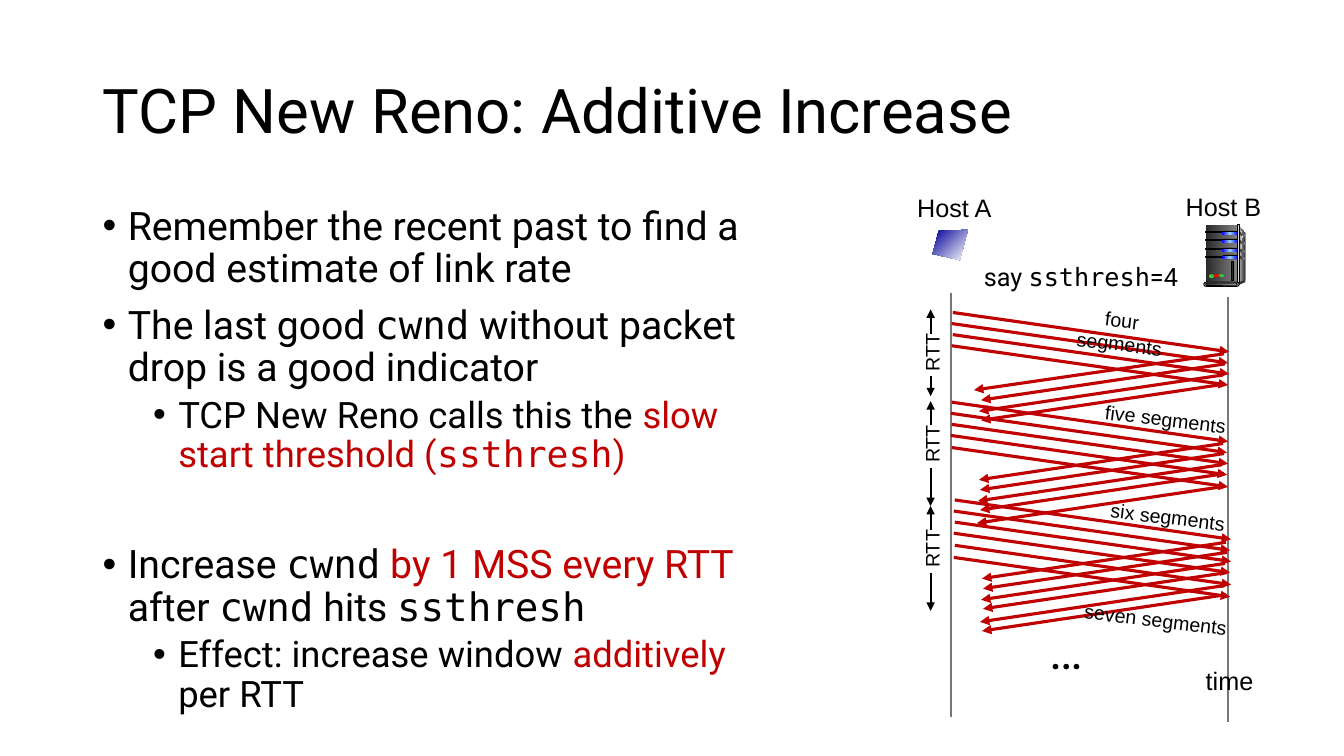
from copy import deepcopy

from pptx import Presentation
from pptx.dml.color import RGBColor
from pptx.enum.shapes import MSO_CONNECTOR, MSO_SHAPE
from pptx.enum.text import MSO_ANCHOR, PP_ALIGN
from pptx.oxml.ns import qn
from pptx.util import Inches, Pt

BLACK, RED, GREY = "000000", "C00000", "777777"
SANS, MONO, LABEL = "Roboto", "DejaVu Sans Mono", "Arial"
LEFT, CENTER, RIGHT = PP_ALIGN.LEFT, PP_ALIGN.CENTER, PP_ALIGN.RIGHT
MIDDLE = MSO_ANCHOR.MIDDLE
STRAIGHT = MSO_CONNECTOR.STRAIGHT
RECT, PILL, OVAL = MSO_SHAPE.RECTANGLE, MSO_SHAPE.ROUNDED_RECTANGLE, MSO_SHAPE.OVAL


def paint(fill, *colours, angle=0):
    """Fill with one colour, or with a gradient of two or three evenly spaced colours."""
    if len(colours) == 1:
        fill.solid()
        fill.fore_color.rgb = RGBColor.from_string(colours[0])
        return
    fill.gradient()
    fill.gradient_angle = (360 - angle) % 360
    if len(colours) == 3:
        stop_list = fill._xPr.find(".//" + qn("a:gsLst"))
        stop_list.insert(1, deepcopy(stop_list[0]))
    for i, (stop, colour) in enumerate(zip(fill.gradient_stops, colours)):
        stop.position = i / (len(colours) - 1)
        stop.color.rgb = RGBColor.from_string(colour)


def draw_line(x1, y1, x2, y2, colour, width, arrow=None):
    """Draw a straight line; arrow is headEnd (at the start) or tailEnd."""
    connector = slide.shapes.add_connector(
        STRAIGHT, Inches(x1), Inches(y1), Inches(x2), Inches(y2))
    paint(connector.line.fill, colour)
    connector.line.width = Pt(width)
    properties = connector._element.spPr
    if arrow:
        line_xml = properties.find(qn("a:ln"))
        line_xml.append(line_xml.makeelement(qn("a:" + arrow), {"type": "triangle"}))
    properties.append(properties.makeelement(qn("a:effectLst"), {}))


prs = Presentation()
prs.slide_width, prs.slide_height = Inches(13.33), Inches(7.5)
slide = prs.slides.add_slide(prs.slide_layouts[5])

# Title
title = slide.shapes.title
title.left, title.top, title.width, title.height = map(Inches, (0.92, 0.4, 11.5, 1.45))
title.text_frame.text = "TCP New Reno: Additive Increase"
title.text_frame.vertical_anchor = MIDDLE
heading = title.text_frame.paragraphs[0]
heading.alignment, heading.line_spacing = LEFT, 0.9
heading.font.size, heading.font.name = Pt(44), SANS
paint(heading.font.fill, BLACK)

# Bullets: level, space before, runs of (text, font, colour)
bullets = [
    (0, 0, [("Remember the recent past to find a good estimate of link rate", SANS, BLACK)]),
    (0, 10, [("The last good ", SANS, BLACK), ("cwnd", MONO, BLACK),
             (" without packet drop is a good indicator", SANS, BLACK)]),
    (1, 5, [("TCP New Reno calls this the ", SANS, BLACK),
            ("slow start threshold (", SANS, RED), ("ssthresh", MONO, RED), (")", SANS, RED)]),
    (0, 49.5, [("Increase ", SANS, BLACK), ("cwnd", MONO, BLACK),
               (" by 1 MSS every RTT ", SANS, RED), ("after ", SANS, BLACK),
               ("cwnd", MONO, BLACK), (" hits ", SANS, BLACK), ("ssthresh", MONO, BLACK)]),
    (1, 5, [("Effect: increase window ", SANS, BLACK), ("additively", SANS, RED),
            (" per RTT", SANS, BLACK)]),
]
body = slide.shapes.add_textbox(Inches(0.92), Inches(2), Inches(6.74), Inches(5.25)).text_frame
body.word_wrap = True
for i, (level, space, runs) in enumerate(bullets):
    paragraph = body.add_paragraph() if i else body.paragraphs[0]
    paragraph.level, paragraph.line_spacing, paragraph.space_before = level, 0.9, Pt(space)
    indents = paragraph._p.get_or_add_pPr()
    indents.set("marL", str(Inches(0.25 + 0.5 * level)))
    indents.set("indent", str(Inches(-0.25)))
    for tag, attributes in (("a:buFont", {"typeface": LABEL}), ("a:buChar", {"char": "•"})):
        indents.append(indents.makeelement(qn(tag), attributes))
    paragraph.font.size = Pt(28 - 2 * level)
    for text, font, colour in runs:
        run = paragraph.add_run()
        run.text, run.font.name = text, font
        paint(run.font.fill, colour)

# Time lines of the two hosts
draw_line(9.43, 2.91, 9.43, 7.11, GREY, 1.5)
draw_line(12.18, 2.95, 12.18, 7.16, GREY, 1.5)

# Host A icon and the server's side panels: points, colours, angle
side_ribs = [(2.3, 2.33), (2.38, 2.41), (2.47, 2.49), (2.54, 2.56)]
outlines = [
    ([(9.6, 2.28), (9.31, 2.29), (9.25, 2.52), (9.52, 2.58)], ("000099", "FFFFFF"), 45),
    ([(12.28, 2.24), (12.35, 2.31), (12.35, 2.78), (12.27, 2.81)], ("DDDDDD", "333333"), 0),
    ([(12.29, 2.27), (12.33, 2.32), (12.3, 2.55), (12.29, 2.79)], ("808080", "F8F8F8"), 0),
    ([(12.28, 2.8), (12.28, 2.83), (12.35, 2.8), (12.35, 2.78)], ("333333",), 0),
] + [
    ([(12.28, inner), (12.35, outer), (12.35, outer + 0.02), (12.28, inner + 0.02)],
     ("292929", "808080"), 0)
    for inner, outer in side_ribs
]
for points, colours, angle in outlines:
    corners = [(Inches(x), Inches(y)) for x, y in points]
    builder = slide.shapes.build_freeform(*corners[0], scale=1.0)
    builder.add_line_segments(corners[1:], close=True)
    panel = builder.convert_to_shape()
    panel.shadow.inherit = False
    paint(panel.fill, *colours, angle=angle)
    panel.line.fill.background()

# Server front: preset, left, top, width, height, colours, outlined
server = [(RECT, 11.96, 2.23, 0.31, 0.57, ("292929", "808080"), False)]
for slot in (2.3, 2.38, 2.47, 2.54):
    server += [
        (RECT, 11.96, slot, 0.18, 0.01, (BLACK,), True),
        (PILL, 12.12, slot - 0.01, 0.17, 0.04, (BLACK,), False),
        (PILL, 12.12, slot, 0.16, 0.03, ("0000FF", "99CCFF", "0000FF"), False),
    ]
server += [
    (RECT, 12.27, 2.23, 0.02, 0.57, ("333333", "DDDDDD", "333333"), True),
    (OVAL, 12.34, 2.78, 0.01, 0.02, ("333333",), False),
    (PILL, 11.94, 2.8, 0.35, 0.04, ("DDDDDD",), True),
    (PILL, 11.96, 2.81, 0.31, 0.02, ("44546A", "E7E6E6"), True),
    (OVAL, 11.99, 2.72, 0.05, 0.04, ("33CC33",), False),
    (OVAL, 12.04, 2.72, 0.05, 0.03, ("FF0000",), False),
    (OVAL, 12.09, 2.72, 0.05, 0.03, ("33CC33",), False),
    (RECT, 12.21, 2.59, 0.02, 0.19, ("292929",), True),
]
for preset, left, top, width, height, colours, outlined in server:
    part = slide.shapes.add_shape(
        preset, Inches(left), Inches(top), Inches(width), Inches(height))
    part.shadow.inherit = False
    paint(part.fill, *colours)
    if preset == PILL:
        part.adjustments[0] = 0.5
    if outlined:
        paint(part.line.fill, BLACK)
        part.line.width = Pt(0.75)
    else:
        part.line.fill.background()

# Rounds: segment count, first segment start, first ack x, later acks x, first ack y
rounds = [
    (4, 9.45, 3.1, 9.66, 9.72, 3.87),
    (5, 9.44, 3.99, 9.71, 9.71, 4.76),
    (6, 9.47, 4.96, 9.74, 9.74, 5.74),
]
send_offsets = [0, 0.11, 0.22, 0.33, 0.45, 0.57]
ack_offsets = [(0, 0), (0.01, 0.1), (-0.01, 0.21), (0.01, 0.3), (-0.02, 0.43), (0, 0.52)]
for count, send_x, send_y, first_ack_x, ack_x, ack_y in rounds:
    for i, drop in enumerate(send_offsets[:count]):
        x, y = send_x - 0.01 * (i % 2), send_y + drop
        draw_line(x, y, x + 2.74, y + 0.39, RED, 2.25, "tailEnd")
    for i, (shift, drop) in enumerate(ack_offsets[:count]):
        x, y = ack_x + shift, ack_y + drop
        draw_line(x if i else first_ack_x, y, x + 2.42, y - 0.36, RED, 2.25, "headEnd")

# Labels: runs, left, top, width, height, rotation, size, font, alignment, wrap
labels = [
    (["Host A"], 8.99, 1.86, 0.95, 0.4, 0, 18, LABEL, CENTER, False),
    (["Host B"], 11.66, 1.85, 0.95, 0.4, 0, 18, LABEL, CENTER, False),
    (["time"], 11.86, 6.55, 0.67, 0.4, 0, 18, LABEL, CENTER, False),
    (["four segments"], 10.53, 3.01, 1.2, 0.33, 6.8, 14, LABEL, CENTER, True),
    (["five segments"], 10.85, 3.99, 1.41, 0.34, 6.8, 14, LABEL, RIGHT, False),
    (["six segments"], 10.91, 4.96, 1.34, 0.34, 6.8, 14, LABEL, RIGHT, False),
    (["seven segments"], 10.64, 5.98, 1.63, 0.34, 6.8, 14, LABEL, RIGHT, False),
    (["say ", "ssthresh", "=4"], 9.66, 2.54, 2.28, 0.4, 0, 18, SANS, LEFT, True),
    (["…"], 10.31, 6.09, 1.26, 0.71, 0, 36, SANS, LEFT, True),
]

# Round-trip spans: an arrow up and an arrow down from each RTT label
for top, reach in ((3.33, 0.2), (4.24, 0.38), (5.28, 0.38)):
    labels.append((["RTT"], 8.95, top, 0.58, 0.33, 270, 14, LABEL, CENTER, False))
    draw_line(9.23, top - 0.02, 9.23, top - 0.26, BLACK, 1.5, "tailEnd")
    draw_line(9.23, top + 0.4, 9.23, top + 0.4 + reach, BLACK, 1.5, "tailEnd")

for runs, left, top, width, height, rotation, size, font, alignment, wrap in labels:
    label = slide.shapes.add_textbox(Inches(left), Inches(top), Inches(width), Inches(height))
    label.rotation = rotation
    label.text_frame.word_wrap = wrap
    paragraph = label.text_frame.paragraphs[0]
    paragraph.alignment = alignment
    paragraph.font.size, paragraph.font.name = Pt(size), font
    paint(paragraph.font.fill, BLACK)
    for text in runs:
        run = paragraph.add_run()
        run.text = text
        if text == "ssthresh":
            run.font.name = MONO

prs.save("out.pptx")
